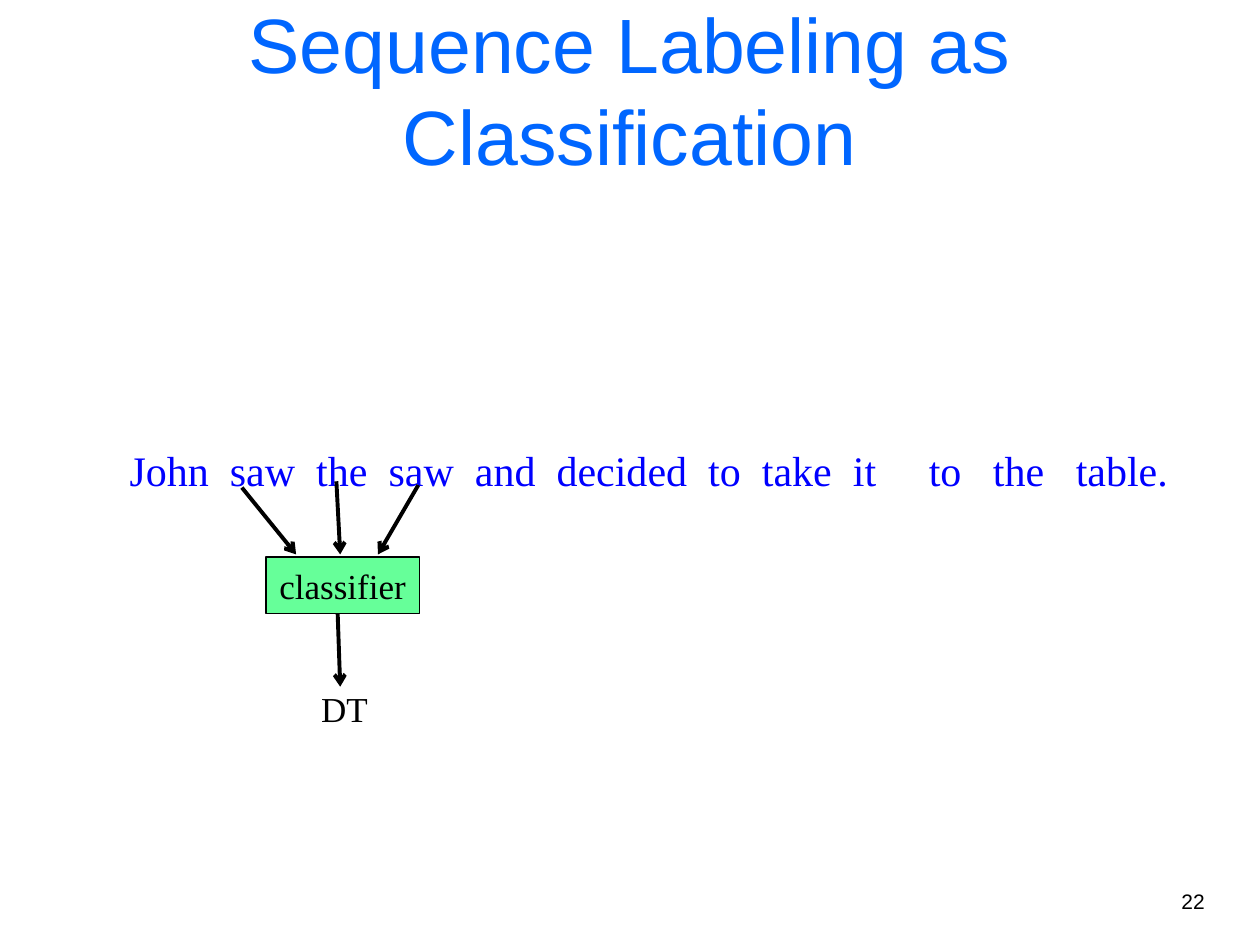
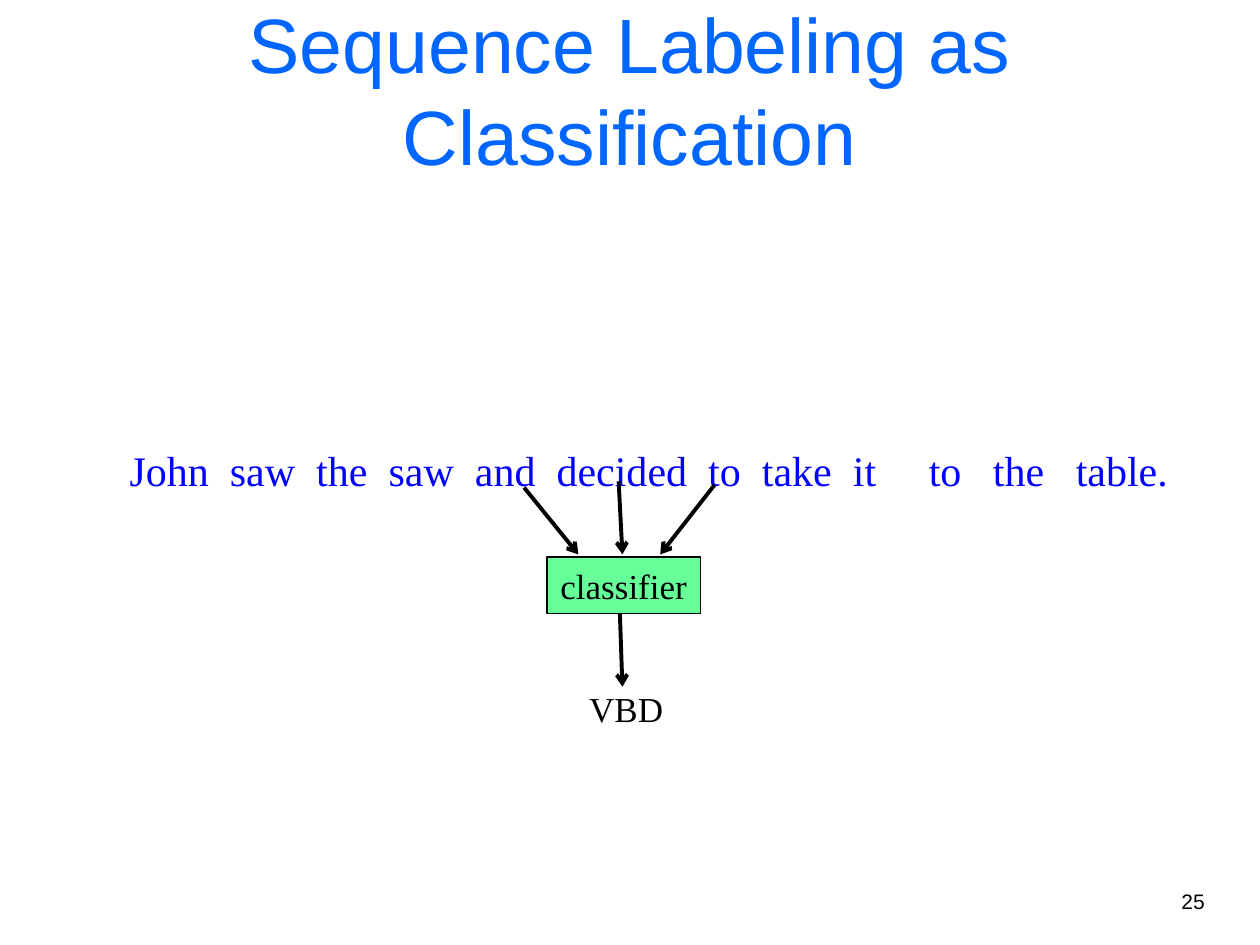
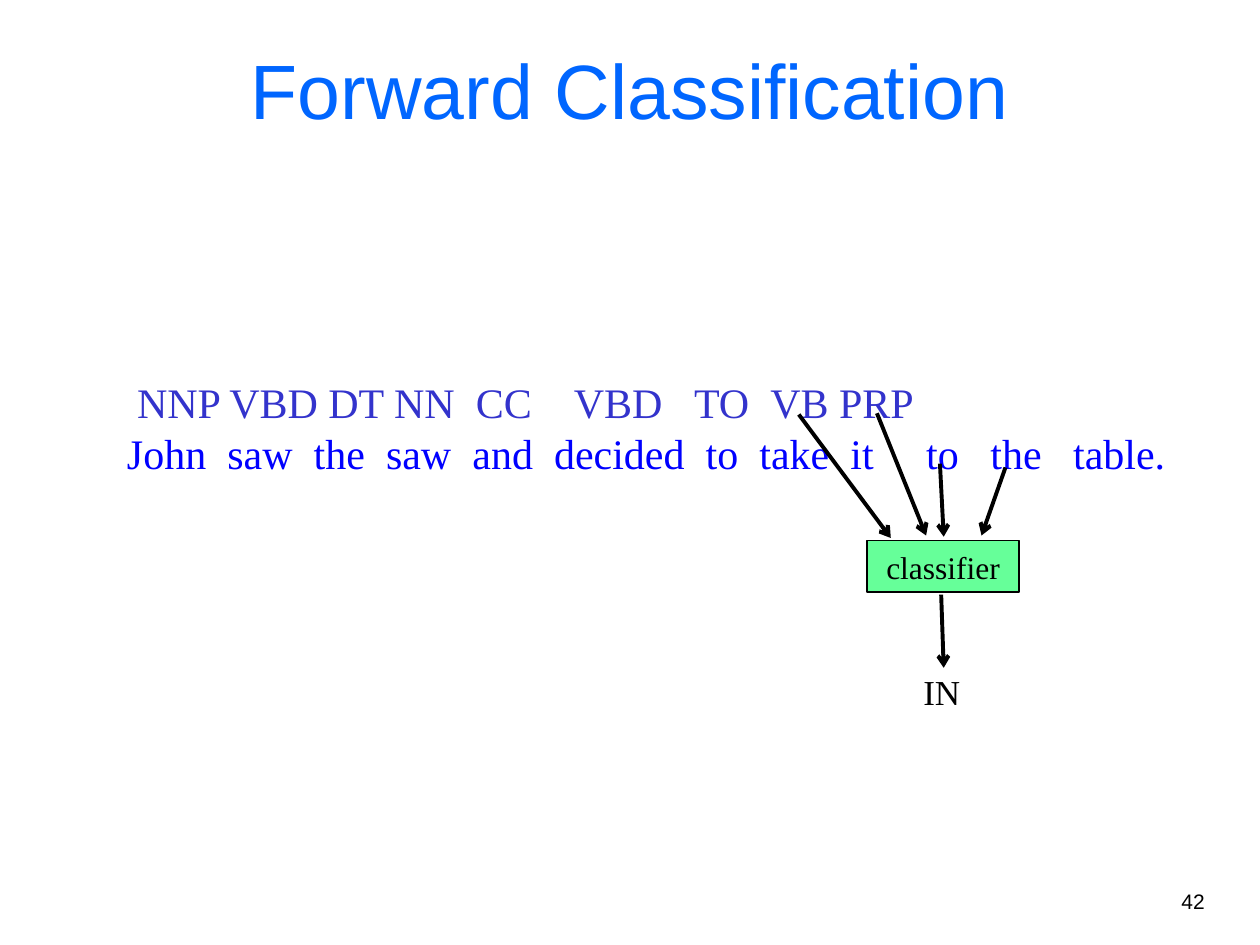
from lxml import etree
from pptx import Presentation
from pptx.dml.color import RGBColor
from pptx.enum.shapes import MSO_CONNECTOR, MSO_SHAPE
from pptx.enum.text import MSO_ANCHOR, MSO_AUTO_SIZE, PP_ALIGN
from pptx.oxml.ns import qn
from pptx.util import Inches, Pt

STRAIGHT = MSO_CONNECTOR.STRAIGHT
RECT = MSO_SHAPE.RECTANGLE
TOP, MIDDLE = MSO_ANCHOR.TOP, MSO_ANCHOR.MIDDLE
LEFT, CENTER, RIGHT = PP_ALIGN.LEFT, PP_ALIGN.CENTER, PP_ALIGN.RIGHT
NO_FIT = MSO_AUTO_SIZE.NONE

COLORS = {"title": "0066FF", "word": "0000FF", "tag": "3333CC",
          "box": "66FF99", "ink": "000000"}
SANS, SERIF = "Arial", "Times New Roman"
TITLE_ONLY = 5
SENTENCE_SIZE = 24
SPACE_WIDTH = SENTENCE_SIZE / 4  # points, in the serif font

# Words and tags, each with the gap after it in space widths
WORDS = [("John", 2), ("saw", 2), ("the", 2), ("saw", 2), ("and", 2),
         ("decided", 2), ("to", 2), ("take", 2), ("it", 5), ("to", 3),
         ("the", 3), ("table.", 0)]
TAGS = [("NNP", 1), ("VBD", 1), ("DT", 1), ("NN", 2), ("CC", 4),
        ("VBD", 3), ("TO", 2), ("VB", 1), ("PRP", 0)]


def rgb(name):
    return RGBColor.from_string(COLORS[name])


def add_run(p, text, size, font, color):
    r = p.add_run()
    r.text = text
    r.font.size = Pt(size)
    r.font.name = font
    r.font.color.rgb = rgb(color)
    return r


def set_frame(tf, anchor=TOP, wrap=True):
    tf.auto_size = NO_FIT
    tf.word_wrap = wrap
    tf.vertical_anchor = anchor


def add_text(s, box, text, size, font, align, wrap=True):
    tf = s.shapes.add_textbox(*map(Inches, box)).text_frame
    set_frame(tf, wrap=wrap)
    p = tf.paragraphs[0]
    p.alignment = align
    add_run(p, text, size, font, "ink")


def add_slide(prs, title, number):
    s = prs.slides.add_slide(prs.slide_layouts[TITLE_ONLY])
    sp = s.shapes.title
    sp.left, sp.top, sp.width, sp.height = map(Inches, (0.75, 0.08, 8.5, 1.25))
    set_frame(sp.text_frame, MIDDLE)
    p = sp.text_frame.paragraphs[0]
    p.alignment = CENTER
    add_run(p, title, 44, SANS, "title")
    add_text(s, (7.58, 7, 2.08, 0.5), str(number), 12, SANS, RIGHT)
    return s


def add_spaced_line(p, items, color, indent):
    """Write items on one line; character spacing widens each gap."""
    p.alignment = LEFT
    pPr = p._p.get_or_add_pPr()
    pPr.set("marL", str(Inches(indent)))
    pPr.set("indent", "0")
    for text, gap in items:
        add_run(p, text, SENTENCE_SIZE, SERIF, color)
        if gap:
            r = add_run(p, " ", SENTENCE_SIZE, SERIF, color)
            extra = (gap - 1) * SPACE_WIDTH
            r._r.get_or_add_rPr().set("spc", str(int(extra * 100)))


def add_sentence(s, left, top, lines):
    height = 0.1 + 0.4 * len(lines)
    tf = s.shapes.add_textbox(*map(Inches, (left, top, 8.44, height))).text_frame
    set_frame(tf, wrap=False)
    for i, line in enumerate(lines):
        p = tf.add_paragraph() if i else tf.paragraphs[0]
        add_spaced_line(p, *line)


def add_arrow(s, x1, y1, x2, y2):
    c = s.shapes.add_connector(STRAIGHT, *map(Inches, (x1, y1, x2, y2)))
    c.line.color.rgb = rgb("ink")
    c.line.width = Pt(2.25)
    etree.SubElement(c.line._get_or_add_ln(), qn("a:tailEnd"), type="arrow")
    etree.SubElement(c._element.spPr, qn("a:effectLst"))


def add_classifier(s, box, size):
    sp = s.shapes.add_shape(RECT, *map(Inches, box))
    sp.shadow.inherit = False
    sp.fill.solid()
    sp.fill.fore_color.rgb = rgb("box")
    sp.line.color.rgb = rgb("ink")
    sp.line.width = Pt(1)
    set_frame(sp.text_frame, MIDDLE, wrap=False)
    p = sp.text_frame.paragraphs[0]
    p.alignment = CENTER
    add_run(p, "classifier", size, SERIF, "ink")


def add_step(s, box, size, arrows, label, label_box):
    """Arrows into and out of a classifier, with the tag it gives."""
    add_classifier(s, box, size)
    for arrow in arrows:
        add_arrow(s, *arrow)
    add_text(s, label_box, label, 20, SERIF, CENTER, wrap=False)


def main():
    prs = Presentation()
    prs.slide_width, prs.slide_height = Inches(10), Inches(7.5)

    # Each word is classified from its neighbours
    steps = [
        (22, 2.11, 1.92, (3.32, 3.0), "DT", (2.45, 0.57)),
        (25, 4.34, 4.16, (5.67, 5.24), "VBD", (4.58, 0.78)),
    ]
    for number, box_x, x, (right_x, right_end), label, (lx, lw) in steps:
        s = add_slide(prs, "Sequence Labeling as Classification", number)
        add_sentence(s, 0.93, 3.48, [(WORDS, "word", 0)])
        arrows = [(x, 3.87, x + 0.43, 4.4),
                  (right_x, 3.85, right_end, 4.4),
                  (x + 0.75, 3.82, x + 0.78, 4.4),
                  (x + 0.76, 4.87, x + 0.78, 5.45)]
        add_step(s, (box_x, 4.42, 1.22, 0.45), 20, arrows,
                 label, (lx, 5.41, lw, 0.43))

    # Earlier tags feed the next decision
    s = add_slide(prs, "Forward Classification", 42)
    add_sentence(s, 0.91, 2.94, [(TAGS, "tag", 0.08), (WORDS, "word", 0)])
    arrows = [(6.96, 3.28, 7.35, 4.25), (7.98, 3.71, 7.79, 4.25),
              (7.46, 3.68, 7.49, 4.26), (7.47, 4.72, 7.49, 5.3),
              (6.34, 3.29, 7.07, 4.27)]
    add_step(s, (6.88, 4.29, 1.21, 0.41), 18, arrows,
             "IN", (7.09, 5.27, 0.77, 0.43))

    prs.save("out.pptx")


main()
